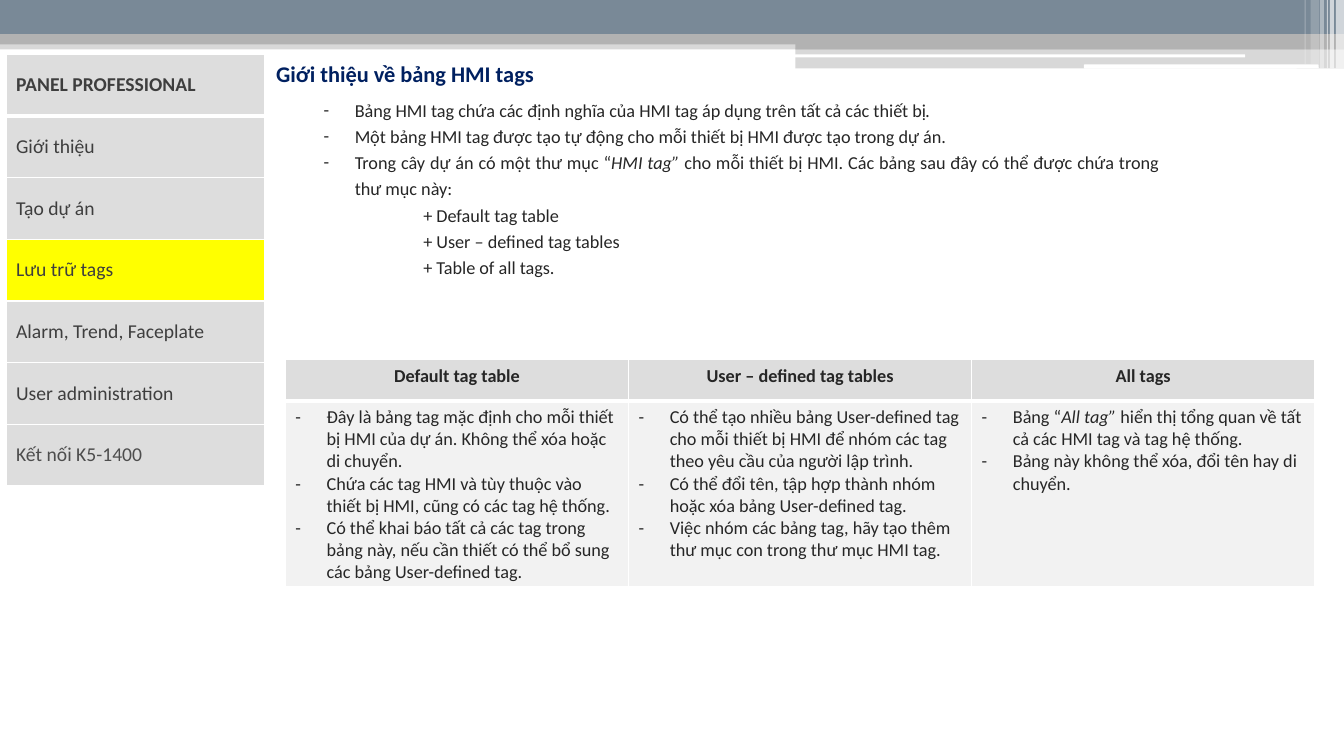
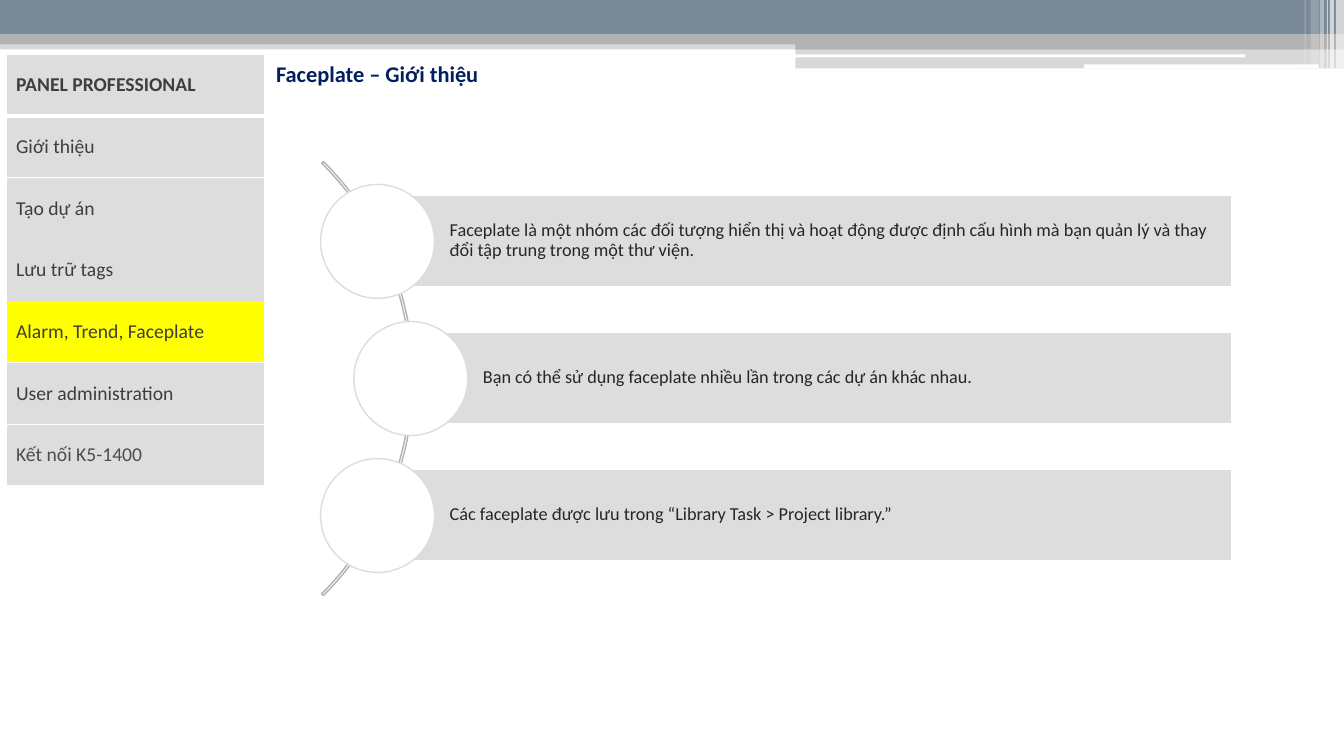
from lxml.etree import SubElement
from pptx import Presentation
from pptx.dml.color import RGBColor
from pptx.enum.shapes import MSO_SHAPE
from pptx.enum.text import MSO_ANCHOR, MSO_AUTO_SIZE, PP_ALIGN
from pptx.oxml.ns import qn
from pptx.oxml.xmlchemy import OxmlElement
from pptx.util import Inches, Pt

COLORS = {
    "slate": "798997", "silver": "B2B2B2", "white": "FFFFFF", "navy": "002060",
    "text": "262626", "menu": "3E3E3E", "menu_last": "4D4D4D", "panel": "DDDDDD",
    "body": "F2F2F2", "highlight": "FFFF00", "arc": "B1B1B1",
}
FONT = "Calibri"


def write_text(frame, text, size=13, color="text", bold=False, align=PP_ALIGN.LEFT,
               left=0, hanging=0, spacing=None, bullet=None):
    paragraph = frame.add_paragraph() if frame.text else frame.paragraphs[0]
    paragraph.alignment = align
    if spacing:
        paragraph.line_spacing = spacing
    properties = paragraph._p.get_or_add_pPr()
    properties.set("marL", str(Inches(left)))
    properties.set("indent", str(Inches(-hanging)))
    if bullet:
        SubElement(properties, qn("a:buFont")).set("typeface", FONT)
        SubElement(properties, qn("a:buChar")).set("char", bullet)
    for index, part in enumerate(text.split("*")):
        if part:
            run = paragraph.add_run()
            run.text = part
            run.font.name = FONT
            run.font.size = Pt(size)
            run.font.bold = bold
            run.font.italic = index % 2 == 1
            run.font.color.rgb = RGBColor.from_string(COLORS[color])


def style_cell(cell, fill, top, bottom, side=1, anchor=MSO_ANCHOR.TOP):
    cell.vertical_anchor = anchor
    cell.fill.solid()
    cell.fill.fore_color.rgb = RGBColor.from_string(COLORS[fill])
    properties = cell._tc.get_or_add_tcPr()
    edges = [("a:lnL", side), ("a:lnR", side), ("a:lnT", top), ("a:lnB", bottom)]
    for index, (tag, width) in enumerate(edges):
        edge = OxmlElement(tag)
        edge.set("w", str(Pt(width)))
        if width:
            paint = SubElement(edge, qn("a:solidFill"))
            SubElement(paint, qn("a:srgbClr")).set("val", COLORS["white"])
        else:
            SubElement(edge, qn("a:noFill"))
        properties.insert(index, edge)


presentation = Presentation()
presentation.slide_width = Inches(13.33)
presentation.slide_height = Inches(7.5)
layout = presentation.slide_layouts[6]
for placeholder in list(layout.placeholders):
    layout.shapes.element.remove(placeholder.element)
tags_slide = presentation.slides.add_slide(layout)
faceplate_slide = presentation.slides.add_slide(layout)

BANDS = [
    (0, 0.4, 13.33, 0.09, "silver", 50),
    (0, 0, 13.33, 0.34, "slate", 100),
    (0, 0.34, 13.33, 0.1, "silver", 100),
    (7.89, 0.39, 5.44, 0.1, "silver", 100),
    (7.89, 0.48, 5.44, 0.2, "silver", 50),
    (7.88, 0.54, 4.47, 0.03, "white", 100),
    (10.75, 0.64, 2.33, 0.04, "white", 100),
    (13.25, 0, 0.08, 0.68, "white", 65),
    (13.19, 0, 0.04, 0.68, "white", 65),
    (13.16, 0, 0.01, 0.68, "white", 60),
    (13.09, 0, 0.04, 0.68, "white", 40),
    (13, 0, 0.08, 0.64, "white", 20),
    (12.94, 0, 0.01, 0.64, "white", 30),
]
for left, top, width, height, color, opacity in BANDS:
    rounded = color == "white" and opacity == 100
    band = tags_slide.shapes.add_shape(
        MSO_SHAPE.ROUNDED_RECTANGLE if rounded else MSO_SHAPE.RECTANGLE,
        Inches(left), Inches(top), Inches(width), Inches(height))
    band.shadow.inherit = False
    band.line.fill.background()
    band.fill.solid()
    band.fill.fore_color.rgb = RGBColor.from_string(COLORS[color])
    if opacity < 100:
        tint = next(band.element.iter(qn("a:srgbClr")))
        SubElement(tint, qn("a:alpha")).set("val", str(opacity * 1000))
    layout.shapes.element.append(band.element)

MENU = ["PANEL PROFESSIONAL", "Giới thiệu", "Tạo dự án", "Lưu trữ tags",
        "Alarm, Trend, Faceplate", "User administration", "Kết nối K5-1400"]
PAGES = [
    (tags_slide, "Giới thiệu về bảng HMI tags", 3, [1, 3, 1, 1, 1, 1, 1, 1]),
    (faceplate_slide, "Faceplate – Giới thiệu", 4, [1, 3, 1, 0, 0, 1, 1, 1]),
]
for slide, title, current, rules in PAGES:
    title_box = slide.shapes.add_textbox(Inches(2.27), Inches(0.49), Inches(6), Inches(0.4))
    title_box.text_frame.word_wrap = True
    title_box.text_frame.auto_size = MSO_AUTO_SIZE.SHAPE_TO_FIT_TEXT
    write_text(title_box.text_frame, title, size=16, color="navy", bold=True,
               left=0.75, hanging=0.38, spacing=1.2)

    menu = slide.shapes.add_table(len(MENU), 1, Inches(0.06), Inches(0.54),
                                  Inches(2.56), Inches(4.28)).table
    menu.first_row = menu.horz_banding = False
    for row, label in enumerate(MENU):
        cell = menu.cell(row, 0)
        write_text(cell.text_frame, label, size=14, bold=row == 0,
                   color="menu_last" if row == len(MENU) - 1 else "menu")
        style_cell(cell, "highlight" if row == current else "panel",
                   rules[row], rules[row + 1], anchor=MSO_ANCHOR.MIDDLE)

intro = tags_slide.shapes.add_textbox(Inches(2.6), Inches(0.89), Inches(8.99), Inches(1.92))
intro.text_frame.word_wrap = True
intro.text_frame.auto_size = MSO_AUTO_SIZE.SHAPE_TO_FIT_TEXT
for line in [
    "Bảng HMI tag chứa các định nghĩa của HMI tag áp dụng trên tất cả các thiết bị*.*",
    "Một bảng HMI tag được tạo tự động cho mỗi thiết bị HMI được tạo trong dự án.",
    "Trong cây dự án có một thư mục “*HMI tag” *cho mỗi thiết bị HMI. "
    "Các bảng sau đây có thể được chứa trong thư mục này:",
]:
    write_text(intro.text_frame, line, align=PP_ALIGN.JUSTIFY, left=0.82, hanging=0.31,
               spacing=1.2, bullet="-")
for line in ["+ Default tag table", "+ User – defined tag tables", "+ Table of all tags."]:
    write_text(intro.text_frame, line, align=PP_ALIGN.JUSTIFY, left=1.5, spacing=1.2)

TAG_TABLES = {
    "Default tag table": [
        "Đây là bảng tag mặc định cho mỗi thiết bị HMI của dự án. Không thể xóa hoặc di chuyển.",
        "Chứa các tag HMI và tùy thuộc vào thiết bị HMI, cũng có các tag hệ thống.",
        "Có thể khai báo tất cả các tag trong bảng này, nếu cần thiết có thể bổ sung "
        "các bảng User-defined tag.",
    ],
    "User – defined tag tables": [
        "Có thể tạo nhiều bảng User-defined tag cho mỗi thiết bị HMI để nhóm các tag "
        "theo yêu cầu của người lập trình.",
        "Có thể đổi tên, tập hợp thành nhóm hoặc xóa bảng User-defined tag.",
        "Việc nhóm các bảng tag, hãy tạo thêm thư mục con trong thư mục HMI tag.",
    ],
    "All tags": [
        "Bảng “*All tag” *hiển thị tổng quan về tất cả các HMI tag và tag hệ thống.",
        "Bảng này không thể xóa, đổi tên hay di chuyển.",
    ],
}
comparison = tags_slide.shapes.add_table(2, len(TAG_TABLES), Inches(2.83), Inches(3.57),
                                         Inches(10.21), Inches(2.24)).table
comparison.first_row = comparison.horz_banding = False
comparison.rows[0].height = Inches(0.41)
comparison.rows[1].height = Inches(1.83)
for column, (heading, points) in enumerate(TAG_TABLES.items()):
    header, body = comparison.cell(0, column), comparison.cell(1, column)
    write_text(header.text_frame, heading, bold=True, align=PP_ALIGN.CENTER)
    style_cell(header, "panel", 1, 3)
    for point in points:
        write_text(body.text_frame, point, left=0.31, hanging=0.31, bullet="-")
    style_cell(body, "body", 3, 1)

FACTS = [
    ("Faceplate là một nhóm các đối tượng hiển thị và hoạt động được định cấu hình "
     "mà bạn quản lý và thay đổi tập trung trong một thư viện.", 0),
    ("Bạn có thể sử dụng faceplate nhiều lần trong các dự án khác nhau.", 0.33),
    ("Các faceplate được lưu trong “Library Task > Project library.”", 0),
]
diagram = faceplate_slide.shapes.add_group_shape()
arc = diagram.shapes.add_shape(MSO_SHAPE.BLOCK_ARC, Inches(-1.99), Inches(0.71),
                               Inches(6.09), Inches(6.09))
for index, adjustment in enumerate([189, 27, 0.004]):
    arc.adjustments[index] = adjustment
arc.shadow.inherit = False
arc.fill.background()
arc.line.color.rgb = RGBColor.from_string(COLORS["arc"])
arc.line.width = Pt(1)
for index, (fact, shift) in enumerate(FACTS):
    top = 1.94 + 1.36 * index
    bar = diagram.shapes.add_shape(MSO_SHAPE.RECTANGLE, Inches(3.74 + shift), Inches(top),
                                   Inches(8.48 - shift), Inches(0.9))
    circle = diagram.shapes.add_shape(MSO_SHAPE.OVAL, Inches(3.18 + shift), Inches(top - 0.11),
                                      Inches(1.13), Inches(1.13))
    for shape, fill, line in [(bar, "panel", "white"), (circle, "white", "panel")]:
        shape.shadow.inherit = False
        shape.fill.solid()
        shape.fill.fore_color.rgb = RGBColor.from_string(COLORS[fill])
        shape.line.color.rgb = RGBColor.from_string(COLORS[line])
        shape.line.width = Pt(1)
    frame = bar.text_frame
    frame.word_wrap = True
    frame.vertical_anchor = MSO_ANCHOR.MIDDLE
    frame.margin_left = Inches(0.72)
    frame.margin_top = frame.margin_right = frame.margin_bottom = Inches(0.04)
    write_text(frame, fact, spacing=0.9)

presentation.save("out.pptx")
